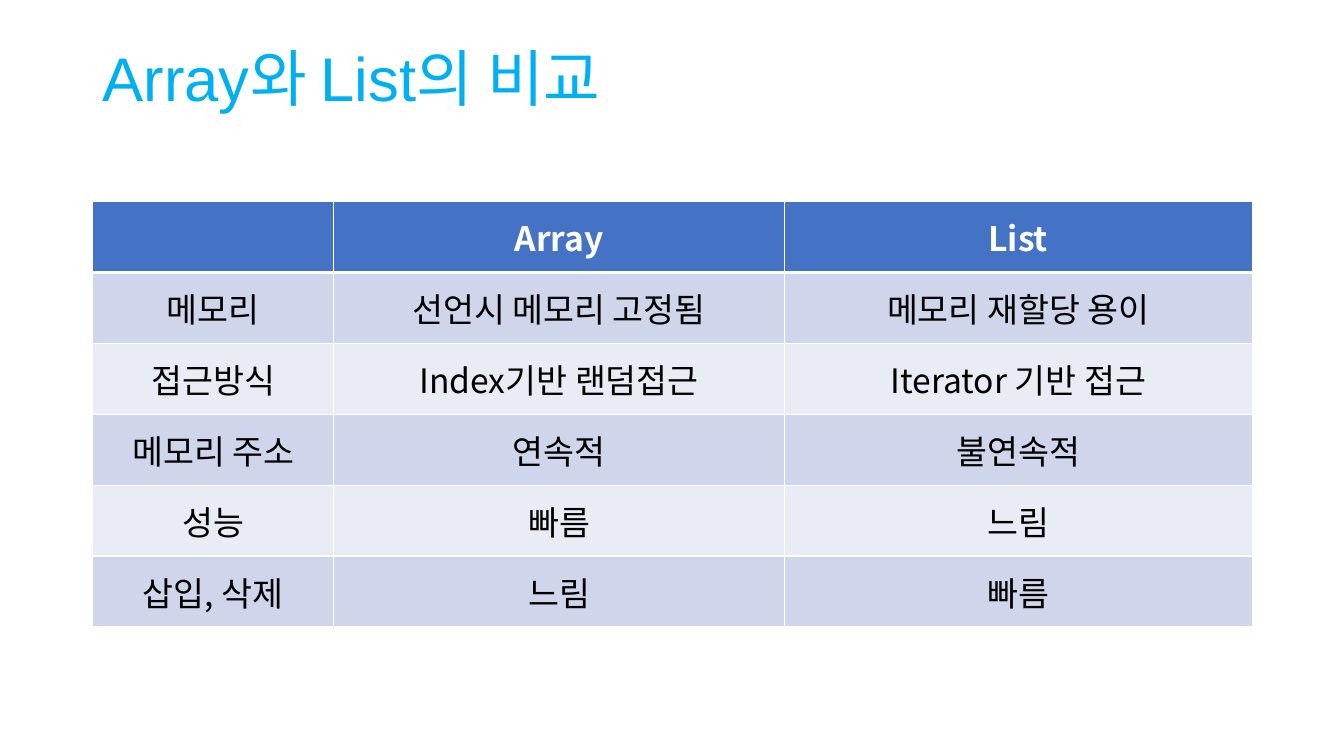
from dataclasses import dataclass

from lxml.etree import SubElement
from pptx import Presentation
from pptx.dml.color import RGBColor
from pptx.enum.text import MSO_ANCHOR, PP_ALIGN
from pptx.oxml.ns import qn
from pptx.util import Inches, Pt


@dataclass(frozen=True)
class Theme:
    title_font: str = "Arial"
    body_font: str = "Noto Sans CJK KR"
    title_size: int = 44
    body_size: int = 24
    title_color: str = "00B0F0"
    header_fill: str = "4472C4"
    band_fills: tuple = ("CFD5EA", "E9EBF5")
    header_text: str = "FFFFFF"
    body_text: str = "000000"
    grid_color: str = "FFFFFF"
    grid_width: int = 1
    header_rule_width: int = 3


class SlideBuilder:
    def __init__(self, slide, theme):
        self.slide = slide
        self.theme = theme

    def style_text(self, paragraph, font_name, size, color, bold=False):
        for run in paragraph.runs:
            run.font.name = font_name
            run.font.size = Pt(size)
            run.font.bold = bold
            run.font.color.rgb = RGBColor.from_string(color)
            east_asian = SubElement(run.font._element, qn("a:ea"))
            east_asian.set("typeface", self.theme.body_font)

    def add_title(self, text, left, top, width, height):
        title = self.slide.shapes.add_textbox(
            Inches(left), Inches(top), Inches(width), Inches(height)
        )
        frame = title.text_frame
        frame.text = text
        frame.word_wrap = True
        frame.vertical_anchor = MSO_ANCHOR.MIDDLE
        heading = frame.paragraphs[0]
        heading.line_spacing = 0.9
        self.style_text(
            heading, self.theme.title_font, self.theme.title_size, self.theme.title_color
        )

    def add_border(self, cell, side, width):
        border = SubElement(cell._tc.get_or_add_tcPr(), qn(f"a:ln{side}"))
        border.set("w", str(Pt(width)))
        fill = SubElement(border, qn("a:solidFill"))
        SubElement(fill, qn("a:srgbClr")).set("val", self.theme.grid_color)

    def style_cell(self, cell, text, row):
        theme = self.theme
        is_header = row == 0
        thick_side = {0: "B", 1: "T"}.get(row)
        for side in "LRTB":
            width = theme.header_rule_width if side == thick_side else theme.grid_width
            self.add_border(cell, side, width)
        fill_color = theme.header_fill if is_header else theme.band_fills[(row - 1) % 2]
        cell.fill.solid()
        cell.fill.fore_color.rgb = RGBColor.from_string(fill_color)
        cell.vertical_anchor = MSO_ANCHOR.MIDDLE
        cell.text_frame.text = text
        label = cell.text_frame.paragraphs[0]
        label.alignment = PP_ALIGN.CENTER
        text_color = theme.header_text if is_header else theme.body_text
        self.style_text(label, theme.body_font, theme.body_size, text_color, is_header)

    def add_table(self, rows, column_widths, left, top, height):
        table = self.slide.shapes.add_table(
            len(rows), len(column_widths),
            Inches(left), Inches(top), Inches(sum(column_widths)), Inches(height),
        ).table
        for column, width in zip(table.columns, column_widths):
            column.width = Inches(width)
        for row, texts in enumerate(rows):
            for column, text in enumerate(texts):
                self.style_cell(table.cell(row, column), text, row)


COMPARISON = [
    ("", "Array", "List"),
    ("메모리", "선언시 메모리 고정됨", "메모리 재할당 용이"),
    ("접근방식", "Index기반 랜덤접근", "Iterator 기반 접근"),
    ("메모리 주소", "연속적", "불연속적"),
    ("성능", "빠름", "느림"),
    ("삽입, 삭제", "느림", "빠름"),
]


def main():
    presentation = Presentation()
    presentation.slide_width = Inches(13.33)
    presentation.slide_height = Inches(7.5)
    slide = presentation.slides.add_slide(presentation.slide_layouts[6])
    builder = SlideBuilder(slide, Theme())
    builder.add_table(COMPARISON, (2.39, 4.47, 4.64), 0.92, 2, 4.22)
    builder.add_title("Array와 List의 비교", 0.92, 0.08, 11.5, 1.45)
    presentation.save("out.pptx")


if __name__ == "__main__":
    main()
